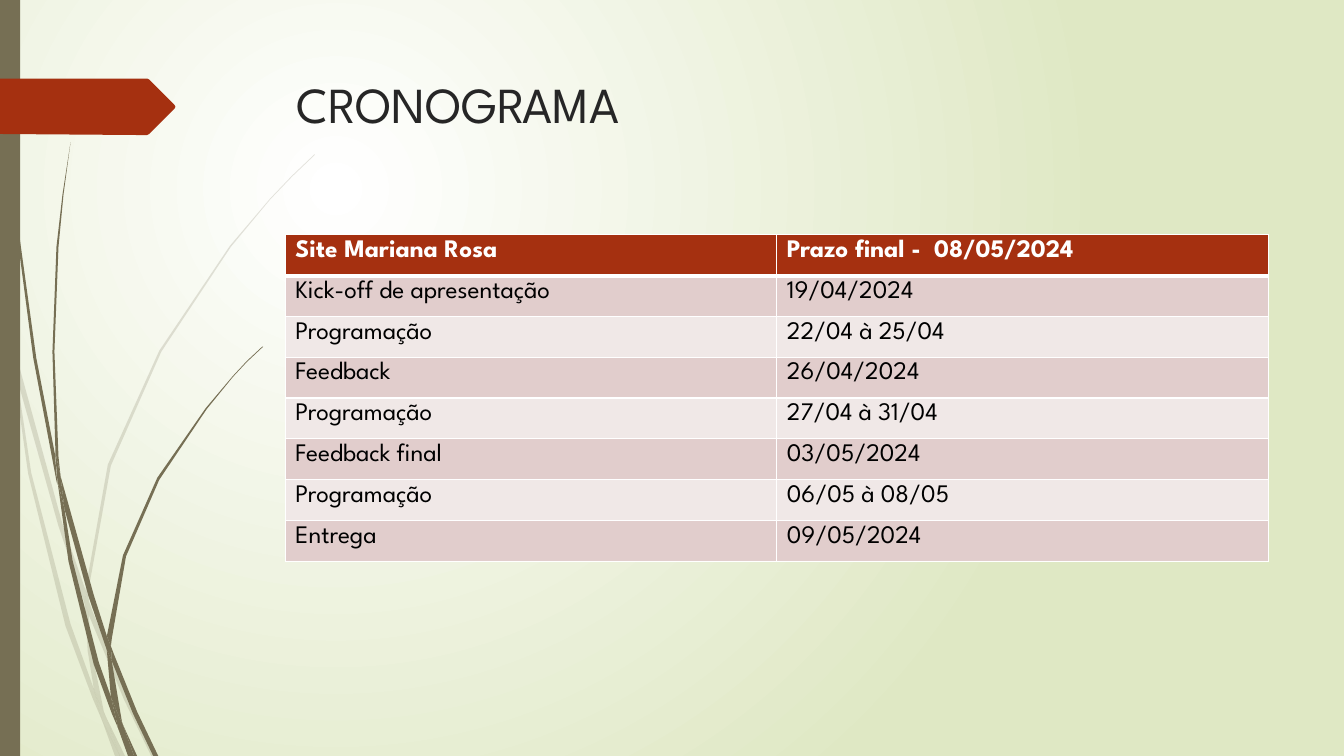
"""Build the project schedule slide with its grass border and date table."""
import pptx
import pptx.dml.color
import pptx.enum.shapes
import pptx.enum.text
import pptx.oxml
import pptx.oxml.ns
import pptx.util

Inches, Pt = pptx.util.Inches, pptx.util.Pt
RGB, qn = pptx.dml.color.RGBColor, pptx.oxml.ns.qn

ROWS = [
    ("Site Mariana Rosa", "Prazo final -  08/05/2024"),
    ("Kick-off de apresentação", "19/04/2024"),
    ("Programação", "22/04 à 25/04"),
    ("Feedback", "26/04/2024"),
    ("Programação", "27/04 à 31/04"),
    ("Feedback final", "03/05/2024"),
    ("Programação", "06/05 à 08/05"),
    ("Entrega", "09/05/2024"),
]
FONT = "League Spartan"
WHITE, BLACK, INK = RGB(255, 255, 255), RGB(0, 0, 0), RGB(0x26, 0x26, 0x26)
GREEN, OLIVE, RUST = RGB(0xDF, 0xE8, 0xC4), RGB(0x76, 0x6F, 0x54), RGB(0xA5, 0x30, 0x10)
BANDS = [RGB(0xF0, 0xE8, 0xE7), RGB(0xE1, 0xCD, 0xCC)]

UNIT = Inches(0.01)
PALE = [
    [(11, 350), (9, 322), (0, 282), (0, 299), (10, 344)],
    [(58, 522), (84, 599), (85, 586), (62, 520), (14, 345), (17, 376)],
    [(92, 607), (88, 596), (88, 610), (123, 694), (150, 750), (155, 750), (127, 692)],
    [(119, 750), (124, 750), (105, 711)],
    [(93, 683), (70, 619), (31, 469), (17, 376), (11, 350), (28, 470), (65, 621),
     (92, 693), (101, 714), (99, 707)],
    [(84, 599), (87, 646), (93, 683), (96, 692), (105, 711), (103, 706), (91, 646),
     (88, 610), (88, 608)],
    [(88, 584), (110, 462), (160, 349), (229, 245), (268, 198), (290, 175), (312, 154),
     (312, 153), (289, 175), (268, 197), (228, 244), (158, 348), (107, 461), (85, 584),
     (85, 586), (88, 596)],
    [(101, 714), (114, 750), (119, 750)],
    [(88, 608), (88, 610), (88, 596), (85, 586), (84, 599)],
    [(96, 692), (93, 683), (99, 707), (101, 714), (119, 750), (105, 711)],
]
DARK = [
    [(7, 110), (17, 233), (33, 355), (56, 477), (57, 481), (55, 457), (55, 453), (36, 355),
     (19, 232), (8, 109), (5, 48), (4, 0), (3, 0), (4, 48)],
    [(88, 592), (106, 645), (106, 631), (93, 590), (60, 472), (64, 505)],
    [(113, 649), (110, 641), (111, 656), (132, 708), (152, 750), (157, 750), (136, 706)],
    [(110, 691), (98, 657), (72, 556), (64, 505), (57, 477), (68, 557), (93, 659),
     (111, 708), (117, 722), (116, 717)],
    [(60, 472), (58, 453), (54, 349), (58, 245), (63, 193), (70, 141), (62, 193),
     (56, 245), (52, 349), (55, 449)],
    [(133, 750), (136, 750), (122, 719)],
    [(57, 477), (64, 505), (60, 472), (55, 449), (55, 453)],
    [(111, 633), (125, 552), (158, 476), (205, 406), (231, 374), (245, 359), (261, 344),
     (260, 344), (245, 358), (231, 373), (204, 405), (156, 474), (122, 551), (106, 631),
     (110, 641)],
    [(117, 722), (127, 750), (131, 750)],
    [(106, 645), (110, 691), (116, 706), (122, 719), (121, 716), (111, 656), (109, 651)],
    [(106, 645), (109, 651), (111, 656), (110, 641), (106, 631)],
    [(116, 706), (110, 691), (116, 717), (117, 722), (130, 750), (133, 750), (122, 719)],
]
ARROW = [(0, 78), (146, 78), (148, 79), (173, 104), (174, 106), (173, 108), (148, 133),
         (146, 134), (136, 134), (0, 133)]


def node(parent, tag, **attrs):
    """Add a drawing element with its attributes."""
    item = pptx.oxml.parse_xml(f"<a:{tag} {pptx.oxml.ns.nsdecls('a')}/>")
    for key, value in attrs.items():
        item.set(key, str(value))
    parent.append(item)
    return item


def paint(shape, color):
    """Give a shape a plain fill."""
    shape.shadow.inherit = False
    shape.fill.solid()
    shape.fill.fore_color.rgb = color
    shape.line.fill.background()


def outline(shapes, points, color, alpha=100):
    """Draw a closed outline from points in hundredths of an inch."""
    pen = shapes.build_freeform(*points[0], scale=UNIT)
    pen.add_line_segments(points[1:], close=True)
    shape = pen.convert_to_shape()
    paint(shape, color)
    if alpha < 100:
        tint = shape.element.spPr.find(qn("a:solidFill"))[0]
        node(tint, "alpha", val=alpha * 1000)


def write(frame, text, size=18, color=BLACK, bold=False):
    """Write one line of text in a frame."""
    run = frame.paragraphs[0].add_run()
    run.text = text
    run.font.name, run.font.size, run.font.bold = FONT, Pt(size), bold
    run.font.color.rgb = color


def edge(cell, head):
    """Set white borders, heavier around the foot of the header."""
    props = cell._tc.get_or_add_tcPr()
    for side in "LRTB":
        wide = 3 if head and side == "B" else 1
        line = node(props, "ln" + side, w=Pt(wide))
        node(node(line, "solidFill"), "srgbClr", val=WHITE)


def wash(slide):
    """Fill the background with a round gradient."""
    fill = slide.background.fill
    fill.gradient()
    for stop, color in zip(fill.gradient_stops, (WHITE, GREEN)):
        stop.color.rgb = color
    grad = slide.element.find(".//" + qn("a:gradFill"))
    grad.remove(grad.find(qn("a:lin")))
    round_ = node(grad, "path", path="circle")
    node(round_, "fillToRect", l=50000, t=50000, r=100000, b=100000)


def main():
    """Compose and save the slide."""
    deck = pptx.Presentation()
    deck.slide_width, deck.slide_height = Inches(13.33), Inches(7.5)
    slide = deck.slides.add_slide(deck.slide_layouts[6])
    shapes = slide.shapes
    wash(slide)

    for blades, alpha in ((PALE, 20), (DARK, 100)):
        group = shapes.add_group_shape()
        for blade in blades:
            outline(group.shapes, blade, OLIVE, alpha)
    bar = shapes.add_shape(pptx.enum.shapes.MSO_SHAPE.RECTANGLE, 0, 0, Inches(0.2), Inches(7.5))
    paint(bar, OLIVE)
    outline(shapes, ARROW, RUST)

    title = shapes.add_textbox(Inches(2.84), Inches(0.68), Inches(9.75), Inches(1.4)).text_frame
    title.word_wrap = True
    title.vertical_anchor = pptx.enum.text.MSO_ANCHOR.TOP
    write(title, "CRONOGRAMA", size=36, color=INK)

    table = shapes.add_table(len(ROWS), 2, Inches(2.83), Inches(2.33),
                             Inches(9.75), Inches(3.24)).table
    for r, row in enumerate(ROWS):
        head = r == 0
        for c, text in enumerate(row):
            cell = table.cell(r, c)
            edge(cell, head)
            cell.fill.solid()
            cell.fill.fore_color.rgb = RUST if head else BANDS[r % 2]
            write(cell.text_frame, text, color=WHITE if head else BLACK, bold=head)
    deck.save("out.pptx")


if __name__ == "__main__":
    main()
